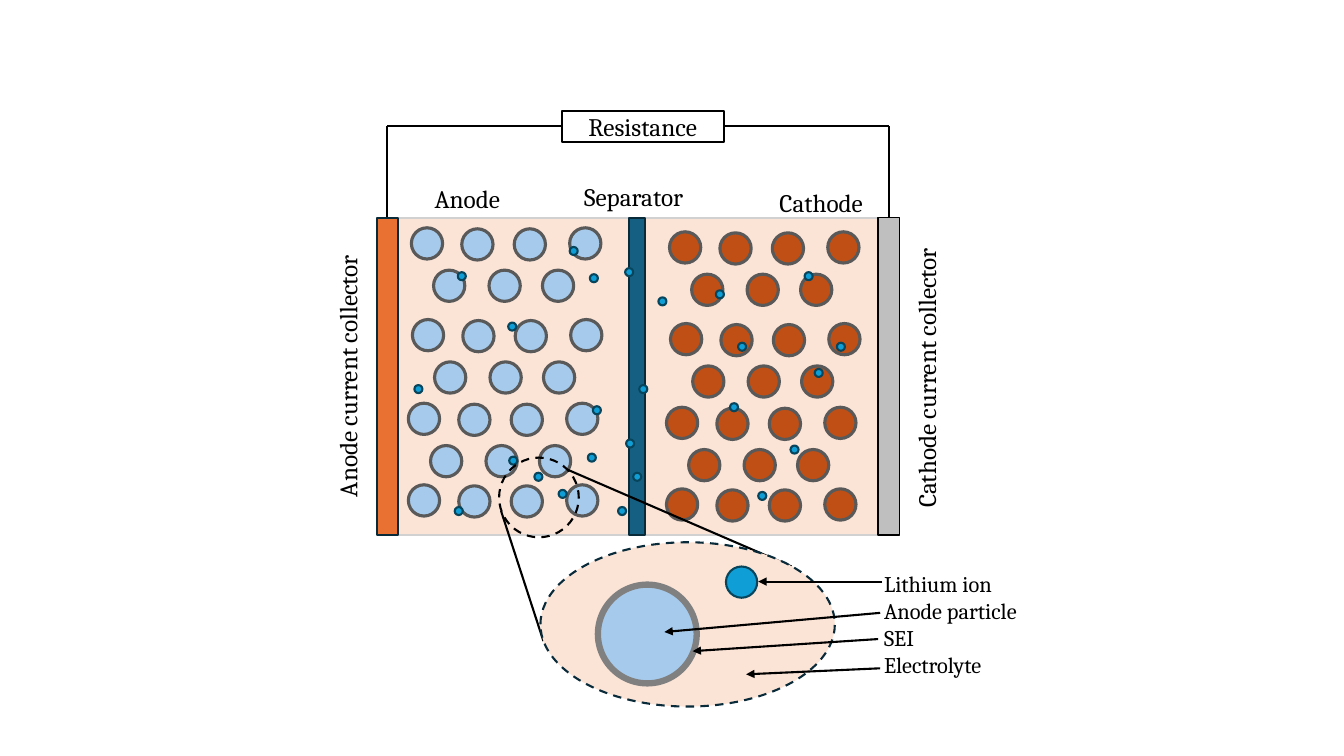
from pptx import Presentation
from pptx import util as u
from pptx.dml.color import RGBColor
from pptx.enum import dml, shapes, text
from pptx.oxml.ns import qn
from lxml import etree

FONT = "Cambria"
BLACK = "000000"
ELECTROLYTE = "FBE3D6"
ANODE, CATHODE = "A6CAEC", "C04F15"
ION, ION_EDGE = "0F9ED5", "07455D"
DARK_EDGE = "092A39"

CIRCUIT = [
    ((3.84, 1.25), (8.82, 1.25)),
    ((3.84, 1.25), (3.84, 2.26)),
    ((8.82, 1.25), (8.82, 2.26)),
]
RESISTANCE = ("Resistance", (5.57, 1.1, 1.61, 0.31))
CELL_TOP, CELL_HEIGHT = 2.16, 3.15
CELL_PARTS = [
    (3.94, 4.77, ELECTROLYTE, "D1D1D1", 1.5),
    (3.74, 0.21, "E97132", DARK_EDGE, 1.5),
    (8.71, 0.21, "BFBFBF", BLACK, 1),
    (6.24, 0.16, "156082", DARK_EDGE, 1.5),
]
LABELS = [
    ("Anode current collector", 1.26, 3.53, 270),
    ("Cathode current collector", 7, 3.55, 270),
    ("Anode", 2.45, 1.77, 0),
    ("Separator", 4.1, 1.75, 0),
    ("Cathode", 5.96, 1.81, 0),
]

PARTICLE_SIZE = 0.31
FULL_ROW = [(0, 0), (0.5, 0.01), (1.02, 0.01), (1.57, 0)]
SHORT_ROW = [(0.22, 0), (0.77, 0), (1.3, 0)]
ROW_STARTS = [(4.08, 2.26), (4.08, 2.68), (4.09, 3.17), (4.09, 3.59),
              (4.05, 4), (4.05, 4.42), (4.05, 4.81)]
ELECTRODES = [(0, 0, ANODE), (2.56, 0.04, CATHODE)]

ION_SIZE = 0.08
IONS = [
    (4.54, 2.7), (6.28, 4.69), (6.2, 2.66), (5.04, 3.2), (7.1, 2.88),
    (7.84, 4.42), (7.98, 2.7), (4.51, 5.03), (5.05, 4.53), (7.52, 4.88),
    (6.34, 3.82), (5.65, 2.45), (4.11, 3.82), (8.08, 3.66), (7.32, 3.4),
    (5.88, 4.03), (7.24, 4), (6.21, 4.36), (8.3, 3.4), (6.13, 5.03),
    (6.53, 2.95), (5.85, 2.72), (5.83, 4.5), (5.54, 4.86), (5.3, 4.69),
]

MAGNIFIED_SPOT = (4.95, 4.54, 0.79, 0.79)
ZOOM_LINES = [((4.97, 5.07), (5.39, 6.36)), ((5.63, 4.66), (7.85, 5.62))]
ZOOM_VIEW = (5.36, 5.38, 2.92, 1.63)
ZOOM_PARTICLE = (5.93, 5.8, 0.98, 0.98)
ZOOM_ION = (7.2, 5.62, 0.31, 0.31)
LEGEND = ["Lithium ion", "Anode particle", "SEI", "Electrolyte"]
LEGEND_BOX = (8.67, 5.61, 1.78, 1.18)
LEGEND_ARROWS = [
    ((8.75, 5.77), (7.52, 5.77)),
    ((8.73, 6.08), (6.59, 6.27)),
    ((8.71, 6.34), (6.87, 6.46)),
    ((8.73, 6.63), (7.4, 6.69)),
]

RECT, OVAL = shapes.MSO_SHAPE.RECTANGLE, shapes.MSO_SHAPE.OVAL

deck = Presentation()
deck.slide_width, deck.slide_height = u.Inches(13.33), u.Inches(7.5)
slide = deck.slides.add_slide(deck.slide_layouts[6])


def rgb(value):
    return RGBColor.from_string(value)


def inches(values):
    return [u.Inches(v) for v in values]


def draw(kind, box, fill, edge, width=1.5, dashed=False):
    part = slide.shapes.add_shape(kind, *inches(box))
    part.shadow.inherit = False
    if fill:
        part.fill.solid()
        part.fill.fore_color.rgb = rgb(fill)
    else:
        part.fill.background()
    part.line.color.rgb = rgb(edge)
    part.line.width = u.Pt(width)
    if dashed:
        part.line.dash_style = dml.MSO_LINE.DASH
    return part


def connect(start, end, arrow=False):
    wire = slide.shapes.add_connector(
        shapes.MSO_CONNECTOR.STRAIGHT, *inches(start + end))
    wire.line.color.rgb = rgb(BLACK)
    wire.line.width = u.Pt(1.5)
    properties = wire._element.spPr
    if arrow:
        etree.SubElement(properties.find(qn("a:ln")), qn("a:tailEnd"), type="triangle")
    etree.SubElement(properties, qn("a:effectLst"))


def write(frame, wording, size, align):
    frame.text = wording
    for paragraph in frame.paragraphs:
        paragraph.alignment = align
        for run in paragraph.runs:
            run.font.name = FONT
            run.font.size = u.Pt(size)
            run.font.color.rgb = rgb(BLACK)


def label(wording, box, size, align, rotation=0):
    caption = slide.shapes.add_textbox(*inches(box))
    caption.rotation = rotation
    caption.text_frame.word_wrap = True
    caption.text_frame.auto_size = text.MSO_AUTO_SIZE.SHAPE_TO_FIT_TEXT
    write(caption.text_frame, wording, size, align)


def scatter_ions(spots):
    for x, y in spots:
        draw(OVAL, (x, y, ION_SIZE, ION_SIZE), ION, ION_EDGE)


for start, end in CIRCUIT:
    connect(start, end)
wording, box = RESISTANCE
resistor = draw(RECT, box, "FFFFFF", BLACK)
resistor.text_frame.vertical_anchor = text.MSO_ANCHOR.MIDDLE
write(resistor.text_frame, wording, 18, text.PP_ALIGN.CENTER)

for left, width, fill, edge, weight in CELL_PARTS:
    draw(RECT, (left, CELL_TOP, width, CELL_HEIGHT), fill, edge, weight)
for wording, left, top, rotation in LABELS:
    label(wording, (left, top, 4.37, 0.4), 18, text.PP_ALIGN.CENTER, rotation)

for shift_x, shift_y, fill in ELECTRODES:
    for index, (left, top) in enumerate(ROW_STARTS):
        for dx, dy in SHORT_ROW if index % 2 else FULL_ROW:
            draw(OVAL, (left + shift_x + dx, top + shift_y + dy,
                        PARTICLE_SIZE, PARTICLE_SIZE), fill, "595959", 2.25)

scatter_ions(IONS[:-3])
draw(OVAL, MAGNIFIED_SPOT, None, BLACK, dashed=True)
scatter_ions(IONS[-3:])

for start, end in ZOOM_LINES:
    connect(start, end)
draw(OVAL, ZOOM_VIEW, ELECTROLYTE, DARK_EDGE, dashed=True)
draw(OVAL, ZOOM_PARTICLE, ANODE, "808080", 4.5)
draw(OVAL, ZOOM_ION, ION, ION_EDGE)
label("\n".join(LEGEND), LEGEND_BOX, 16, text.PP_ALIGN.LEFT)
for start, end in LEGEND_ARROWS:
    connect(start, end, arrow=True)

deck.save("out.pptx")
